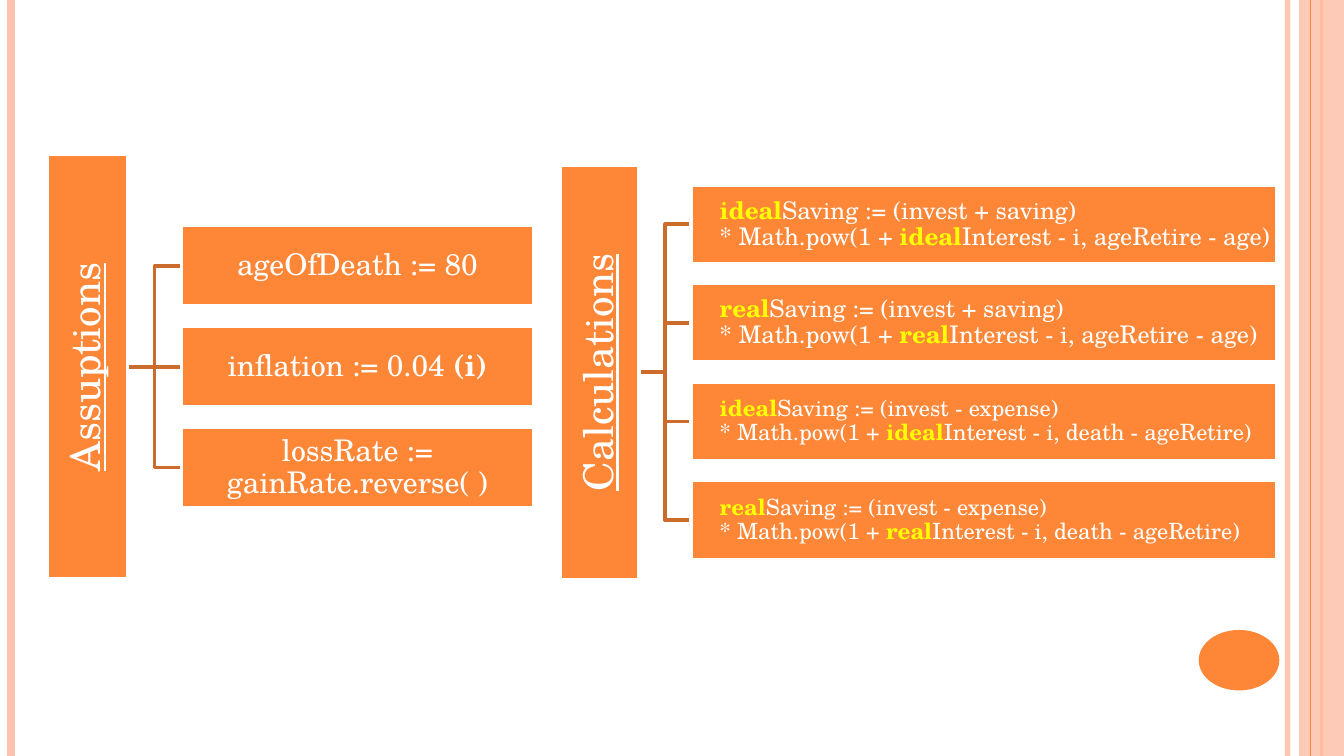
from lxml.etree import SubElement
from pptx import Presentation
from pptx.dml.color import RGBColor as RGB
from pptx.enum.shapes import MSO_CONNECTOR as LINK, MSO_SHAPE as SHAPE
from pptx.enum.text import MSO_ANCHOR as ANCHOR, PP_ALIGN as ALIGN
from pptx.oxml.ns import qn
from pptx.util import Pt

THEME = {
    "orange": RGB.from_string("FE8637"),
    "peach": RGB.from_string("FEC3AE"),
    "branch": RGB.from_string("CB6B2C"),
    "white": RGB.from_string("FFFFFF"),
    "yellow": RGB.from_string("FFFF00"),
    "font": "TeX Gyre Schola",
    "heading": 22,
    "assumption": 16,
    "saving": 13,
    "spending": 12,
}

prs = Presentation()
prs.slide_width, prs.slide_height = Pt(720), Pt(405)
slide = prs.slides.add_slide(prs.slide_layouts[6])
shapes = slide.shapes


def set_opacity(fill_parent, percent):
    color = next(fill_parent.iter(qn("a:srgbClr")))
    SubElement(color, qn("a:alpha"), val=str(percent * 1000))


def add_block(kind, left, top, width, height, color, size=None, runs=(), align=ALIGN.CENTER, indent=0, inset=1):
    block = shapes.add_shape(kind, Pt(left), Pt(top), Pt(width), Pt(height))
    block.shadow.inherit = False
    block.fill.solid()
    block.fill.fore_color.rgb = THEME[color]
    block.line.fill.background()
    if not runs:
        return block
    block.line.color.rgb = THEME["white"]
    block.line.width = Pt(2)
    frame = block.text_frame
    frame_format = {"word_wrap": True, "vertical_anchor": ANCHOR.MIDDLE}
    frame_format |= {f"margin_{side}": Pt(inset) for side in ("left", "right", "top", "bottom")}
    for name, value in frame_format.items():
        setattr(frame, name, value)
    paragraph = frame.paragraphs[0]
    paragraph.alignment = align
    paragraph.line_spacing = 0.9
    if indent:
        props = paragraph._p.get_or_add_pPr()
        props.set("marL", str(Pt(indent)))
        props.set("indent", "0")
    for text, color_name, style in runs:
        for number, line in enumerate(text.split("\n")):
            if number:
                paragraph.add_line_break()
            run = paragraph.add_run()
            run.text = line
            run.font.color.rgb = THEME[color_name]
            for name, value in {"name": THEME["font"], "size": Pt(THEME[size]), **style}.items():
                setattr(run.font, name, value)
    return block


stripes = [(689.8, "peach", 3, 93), (5.8, "peach", 4.5, 100), (707.8, "orange", 1.5, 100)]
band_edge = (702, "orange", 0.75, 100)
for x, color, width, opacity in stripes + [band_edge]:
    if x == band_edge[0]:
        band = add_block(SHAPE.RECTANGLE, 696, 0, 24, 405, "peach")
        set_opacity(band.fill._xPr, 87)
    stripe = shapes.add_connector(LINK.STRAIGHT, Pt(x), Pt(0), Pt(x), Pt(405))
    SubElement(stripe._element.spPr, qn("a:effectLst"))
    stripe.line.color.rgb = THEME[color]
    stripe.line.width = Pt(width)
    if opacity < 100:
        set_opacity(stripe.line._ln, opacity)
add_block(SHAPE.OVAL, 642.2, 337.5, 43.2, 32.4, "orange")

BOLD, PLAIN = {"bold": True}, {"bold": False}
assumptions = [
    ("assumption", [("ageOfDeath := 80", "white", PLAIN)]),
    ("assumption", [("inflation := 0.04 ", "white", PLAIN), ("(i)", "white", BOLD)]),
    ("assumption", [("lossRate := gainRate.reverse( )", "white", PLAIN)]),
]
calculations = []
for size, balance, period in [
    ("saving", "invest + saving", "ageRetire - age"),
    ("spending", "invest - expense", "death - ageRetire"),
]:
    for case in ("ideal", "real"):
        calculations.append((size, [
            (case, "yellow", BOLD),
            (f"Saving := ({balance})\n* Math.pow(1 + ", "white", PLAIN),
            (case, "yellow", BOLD),
            (f"Interest - i, {period})", "white", PLAIN),
        ]))

trees = [
    dict(heading="Assuptions", items=assumptions, center=(46.8, 196.5), length=227.5,
         thick=43.2, left=97.2, width=188.6, pitch=54, align=ALIGN.CENTER, indent=0),
    dict(heading="Calculations", items=calculations, center=(321.4, 199.4), length=222.4,
         thick=42.3, left=370.2, width=313.8, pitch=52.8, align=ALIGN.LEFT, indent=14.4),
]
for tree in trees:
    x, y = tree["center"]
    thick, length, left = tree["thick"], tree["length"], tree["left"]
    start = x + thick / 2
    bend = (start + left) / 2
    middle = (len(tree["items"]) - 1) / 2
    levels = [y + (row - middle) * tree["pitch"] for row in range(len(tree["items"]))]

    for level in reversed(levels):
        if level == y:
            branch = shapes.add_connector(LINK.STRAIGHT, Pt(start), Pt(y), Pt(left), Pt(y))
            SubElement(branch._element.spPr, qn("a:effectLst"))
        else:
            outline = shapes.build_freeform(Pt(start), Pt(y))
            corners = [(bend, y), (bend, level), (left, level)]
            outline.add_line_segments([(Pt(px), Pt(py)) for px, py in corners], close=False)
            branch = outline.convert_to_shape()
            branch.shadow.inherit = False
            branch.fill.background()
        branch.line.color.rgb = THEME["branch"]
        branch.line.width = Pt(2)

    heading = add_block(SHAPE.RECTANGLE, x - length / 2, y - thick / 2, length, thick, "orange",
                        "heading", [(tree["heading"], "white", {"underline": True})], inset=1.4)
    heading.rotation = 270
    for level, (size, runs) in zip(levels, tree["items"]):
        add_block(SHAPE.RECTANGLE, left, level - thick / 2, tree["width"], thick, "orange",
                  size, runs, tree["align"], tree["indent"])

prs.save("out.pptx")
